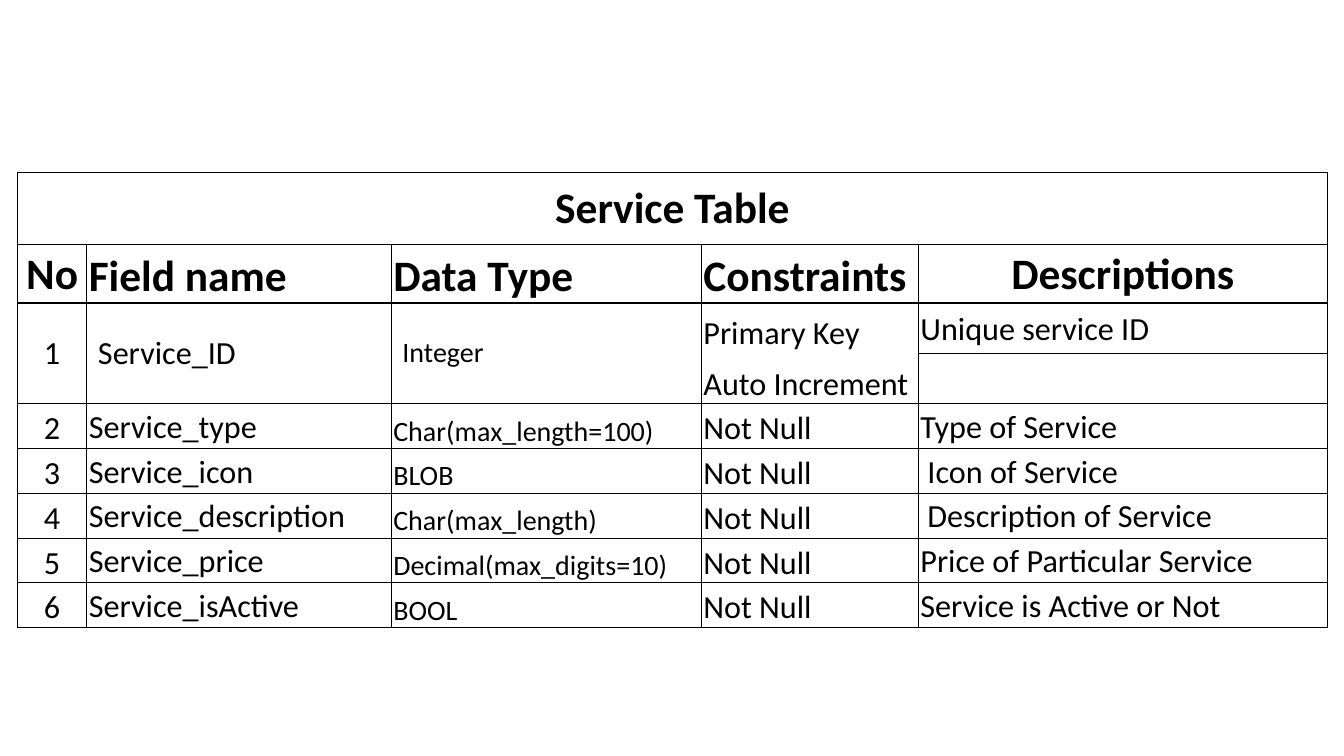
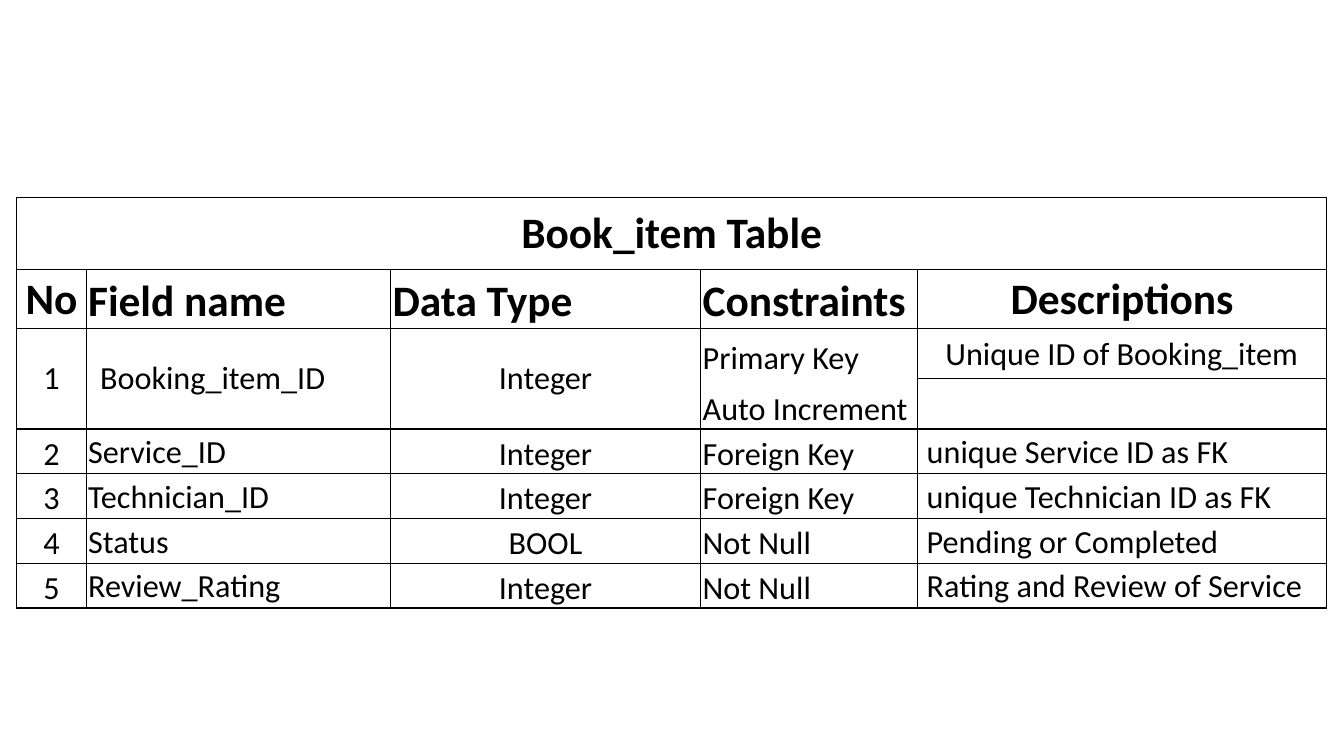
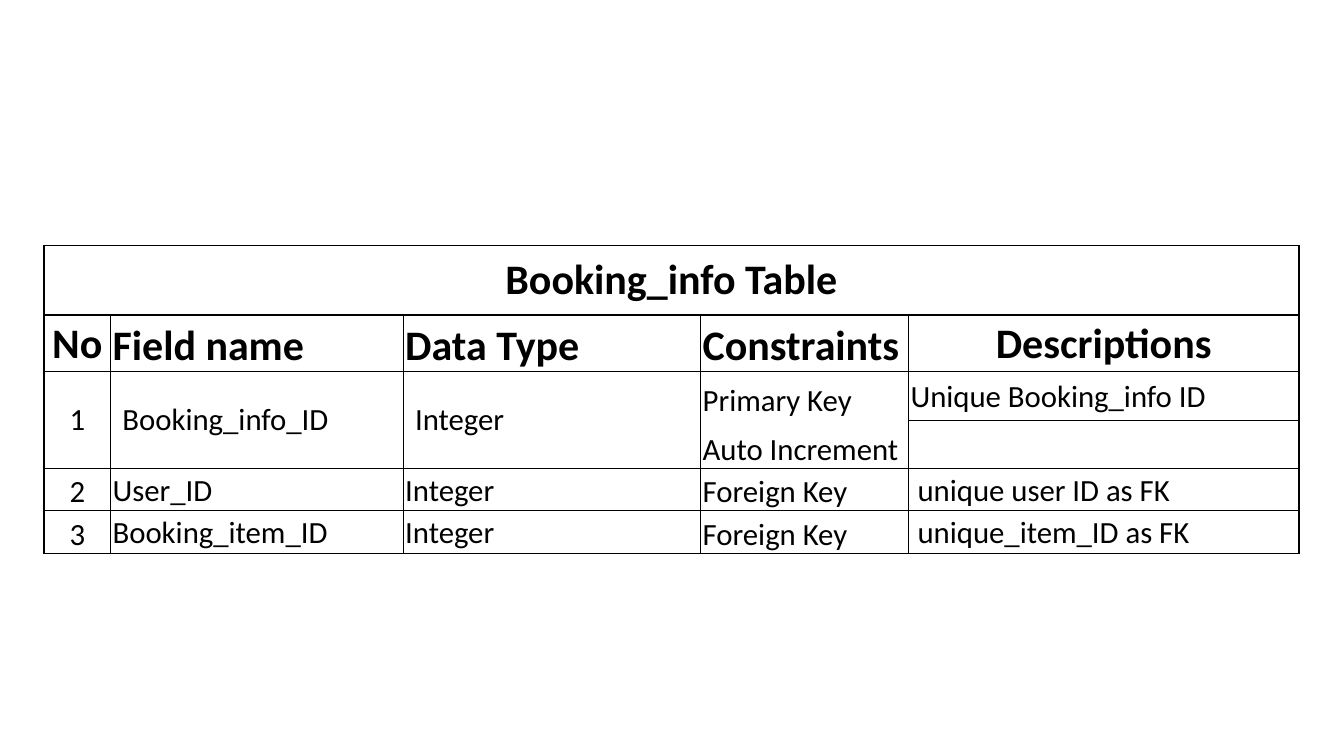
from dataclasses import dataclass
from typing import NamedTuple

from lxml import etree
from pptx import Presentation
from pptx.dml.color import RGBColor
from pptx.enum.text import MSO_ANCHOR, PP_ALIGN
from pptx.oxml.ns import qn
from pptx.util import Emu, Pt

EMU_PER_PX = 6350
SLIDE_WIDTH, SLIDE_HEIGHT = 1920, 1080
BLACK = RGBColor(0, 0, 0)
FONT_NAME = "Calibri"
LEFT, CENTER = PP_ALIGN.LEFT, PP_ALIGN.CENTER
MIDDLE, BOTTOM = MSO_ANCHOR.MIDDLE, MSO_ANCHOR.BOTTOM

HEADERS = ("No", "Field name", "Data Type", "Constraints", "Descriptions")
KEY_CONSTRAINTS = ("Primary Key", "Auto Increment")
NUMBER, NAME, TYPE, CONSTRAINT, DESCRIPTION = range(len(HEADERS))
TITLE_ROW, HEADER_ROW, KEY_ROW, KEY_ROW_END, FIRST_FIELD_ROW = range(5)
HEADER_ANCHORS = (MIDDLE, BOTTOM, BOTTOM, BOTTOM, MIDDLE)
THICK, THIN, NO_LINE = 1, 0.5, 0


class Insets(NamedTuple):
    left: int
    top: int
    right: int
    bottom: int


TIGHT = Insets(3, 3, 3, 0)
INDENTED = Insets(13, 3, 3, 0)


class Field(NamedTuple):
    name: str
    data_type: str
    constraint: str
    description: str
    indented: bool = False


class Layout(NamedTuple):
    columns: tuple[int, ...]
    title_height: int
    header_height: int
    key_height: int
    field_height: int
    heading_size: int
    body_size: int


WIDE = Layout((99, 435, 443, 310, 584), 103, 84, 72, 64, 31, 23)
COMPACT = Layout((95, 418, 425, 297, 558), 99, 81, 69, 61, 30, 22)


@dataclass(frozen=True)
class Schema:
    title: str
    left: int
    top: int
    layout: Layout
    spanned_insets: Insets
    key_name: str
    key_description: str
    fields: tuple[Field, ...]
    type_size: int
    type_anchor: MSO_ANCHOR = BOTTOM
    type_alignment: PP_ALIGN = LEFT
    key_type_alignment: PP_ALIGN = LEFT
    key_description_alignment: PP_ALIGN = LEFT
    thick_type_rows: range = range(0)


SCHEMAS = (
    Schema(
        "Service Table", 25, 246, WIDE, Insets(16, 7, 16, 7),
        "Service_ID", "Unique service ID",
        (
            Field("Service_type", "Char(max_length=100)", "Not Null", "Type of Service"),
            Field("Service_icon", "BLOB", "Not Null", "Icon of Service", True),
            Field("Service_description", "Char(max_length)", "Not Null",
                  "Description of Service", True),
            Field("Service_price", "Decimal(max_digits=10)", "Not Null",
                  "Price of Particular Service"),
            Field("Service_isActive", "BOOL", "Not Null", "Service is Active or Not"),
        ),
        type_size=20,
    ),
    Schema(
        "Book_item Table", 24, 282, WIDE, Insets(20, 10, 20, 10),
        "Booking_item_ID", "Unique ID of Booking_item",
        (
            Field("Service_ID", "Integer", "Foreign Key", "unique Service ID as FK", True),
            Field("Technician_ID", "Integer", "Foreign Key",
                  "unique Technician ID as FK", True),
            Field("Status", "BOOL", "Not Null", "Pending or Completed", True),
            Field("Review_Rating", "Integer", "Not Null",
                  "Rating and Review of Service", True),
        ),
        type_size=23,
        type_alignment=CENTER,
        key_type_alignment=CENTER,
        key_description_alignment=CENTER,
        thick_type_rows=range(KEY_ROW, FIRST_FIELD_ROW + 2),
    ),
    Schema(
        "Booking_info Table", 63, 351, COMPACT, Insets(17, 9, 17, 9),
        "Booking_info_ID", "Unique Booking_info ID",
        (
            Field("User_ID", "Integer", "Foreign Key", "unique user ID as FK", True),
            Field("Booking_item_ID", "Integer", "Foreign Key", "unique_item_ID as FK", True),
        ),
        type_size=22,
        type_anchor=MIDDLE,
    ),
)


def px(length: int) -> Emu:
    return Emu(length * EMU_PER_PX)


def set_attributes(target, values: dict) -> None:
    for name, value in values.items():
        setattr(target, name, value)


def write_cell(cell, text: str, size: int, anchor=MIDDLE, alignment=LEFT,
               insets: Insets = TIGHT, bold: bool = False) -> None:
    set_attributes(cell, {
        "vertical_anchor": anchor,
        "margin_left": px(insets.left),
        "margin_top": px(insets.top),
        "margin_right": px(insets.right),
        "margin_bottom": px(insets.bottom),
    })
    paragraph = cell.text_frame.paragraphs[0]
    paragraph.alignment = alignment
    run = paragraph.add_run()
    run.text = text
    set_attributes(run.font, {"name": FONT_NAME, "size": Pt(size), "bold": bold})
    run.font.color.rgb = BLACK


def add_border(cell, side: str, width: float) -> None:
    properties = cell._tc.get_or_add_tcPr()
    line = etree.SubElement(properties, qn(f"a:ln{side}"), w=str(Pt(width)))
    if width == NO_LINE:
        etree.SubElement(line, qn("a:noFill"))
        return
    fill = etree.SubElement(line, qn("a:solidFill"))
    etree.SubElement(fill, qn("a:srgbClr"), val=str(BLACK))


def vertical_width(schema: Schema, row: int, edge: int) -> float:
    if edge in (0, len(HEADERS)):
        return THICK
    if row == TITLE_ROW:
        return NO_LINE
    if edge == TYPE and row in schema.thick_type_rows:
        return THICK
    return THIN


def horizontal_width(column: int, edge: int) -> float:
    """Only the description is divided inside the two key rows."""
    if edge != KEY_ROW_END:
        return THICK
    return THIN if column == DESCRIPTION else NO_LINE


def draw_grid(table, schema: Schema) -> None:
    for row in range(len(table.rows)):
        for column in range(len(HEADERS)):
            cell = table.cell(row, column)
            right = column + (cell.span_width if cell.is_merge_origin else 1)
            bottom = row + (cell.span_height if cell.is_merge_origin else 1)
            add_border(cell, "L", vertical_width(schema, row, column))
            add_border(cell, "R", vertical_width(schema, row, right))
            add_border(cell, "T", horizontal_width(column, row))
            add_border(cell, "B", horizontal_width(column, bottom))
            cell.fill.background()


def write_headings(table, schema: Schema) -> None:
    size = schema.layout.heading_size
    write_cell(table.cell(TITLE_ROW, 0), schema.title, size, MIDDLE, CENTER,
               schema.spanned_insets, True)
    for column, header in enumerate(HEADERS):
        alignment = CENTER if column in (NUMBER, DESCRIPTION) else LEFT
        write_cell(table.cell(HEADER_ROW, column), header, size,
                   HEADER_ANCHORS[column], alignment, bold=True)


def write_key(table, schema: Schema) -> None:
    size = schema.layout.body_size
    spanned_cells = (
        ("1", size, CENTER),
        (schema.key_name, size, LEFT),
        ("Integer", schema.type_size, schema.key_type_alignment),
    )
    for column, (text, text_size, alignment) in enumerate(spanned_cells):
        write_cell(table.cell(KEY_ROW, column), text, text_size, MIDDLE, alignment,
                   schema.spanned_insets)
    for row, constraint in enumerate(KEY_CONSTRAINTS, KEY_ROW):
        write_cell(table.cell(row, CONSTRAINT), constraint, size, BOTTOM)
    write_cell(table.cell(KEY_ROW, DESCRIPTION), schema.key_description, size,
               alignment=schema.key_description_alignment)


def write_field(table, schema: Schema, index: int, field: Field) -> None:
    size = schema.layout.body_size
    cells = table.rows[FIRST_FIELD_ROW + index].cells
    write_cell(cells[NUMBER], str(index + 2), size, BOTTOM, CENTER)
    write_cell(cells[NAME], field.name, size)
    write_cell(cells[TYPE], field.data_type, schema.type_size, schema.type_anchor,
               schema.type_alignment)
    write_cell(cells[CONSTRAINT], field.constraint, size, BOTTOM)
    write_cell(cells[DESCRIPTION], field.description, size,
               insets=INDENTED if field.indented else TIGHT)


def add_schema_table(slide, schema: Schema) -> None:
    layout = schema.layout
    heights = (layout.title_height, layout.header_height,
               *[layout.key_height] * len(KEY_CONSTRAINTS),
               *[layout.field_height] * len(schema.fields))
    frame = slide.shapes.add_table(
        len(heights), len(HEADERS), px(schema.left), px(schema.top),
        px(sum(layout.columns)), px(sum(heights)))
    table = frame.table
    set_attributes(table, {"first_row": False, "horz_banding": False})
    for column, width in zip(table.columns, layout.columns):
        column.width = px(width)
    for row, height in zip(table.rows, heights):
        row.height = px(height)
    table.cell(TITLE_ROW, 0).merge(table.cell(TITLE_ROW, DESCRIPTION))
    for column in (NUMBER, NAME, TYPE):
        table.cell(KEY_ROW, column).merge(table.cell(KEY_ROW_END, column))

    draw_grid(table, schema)
    write_headings(table, schema)
    write_key(table, schema)
    for index, field in enumerate(schema.fields):
        write_field(table, schema, index, field)


def main() -> None:
    presentation = Presentation()
    set_attributes(presentation, {
        "slide_width": px(SLIDE_WIDTH), "slide_height": px(SLIDE_HEIGHT)})
    blank_layout = presentation.slide_layouts[6]
    for schema in SCHEMAS:
        add_schema_table(presentation.slides.add_slide(blank_layout), schema)
    presentation.save("out.pptx")


if __name__ == "__main__":
    main()
